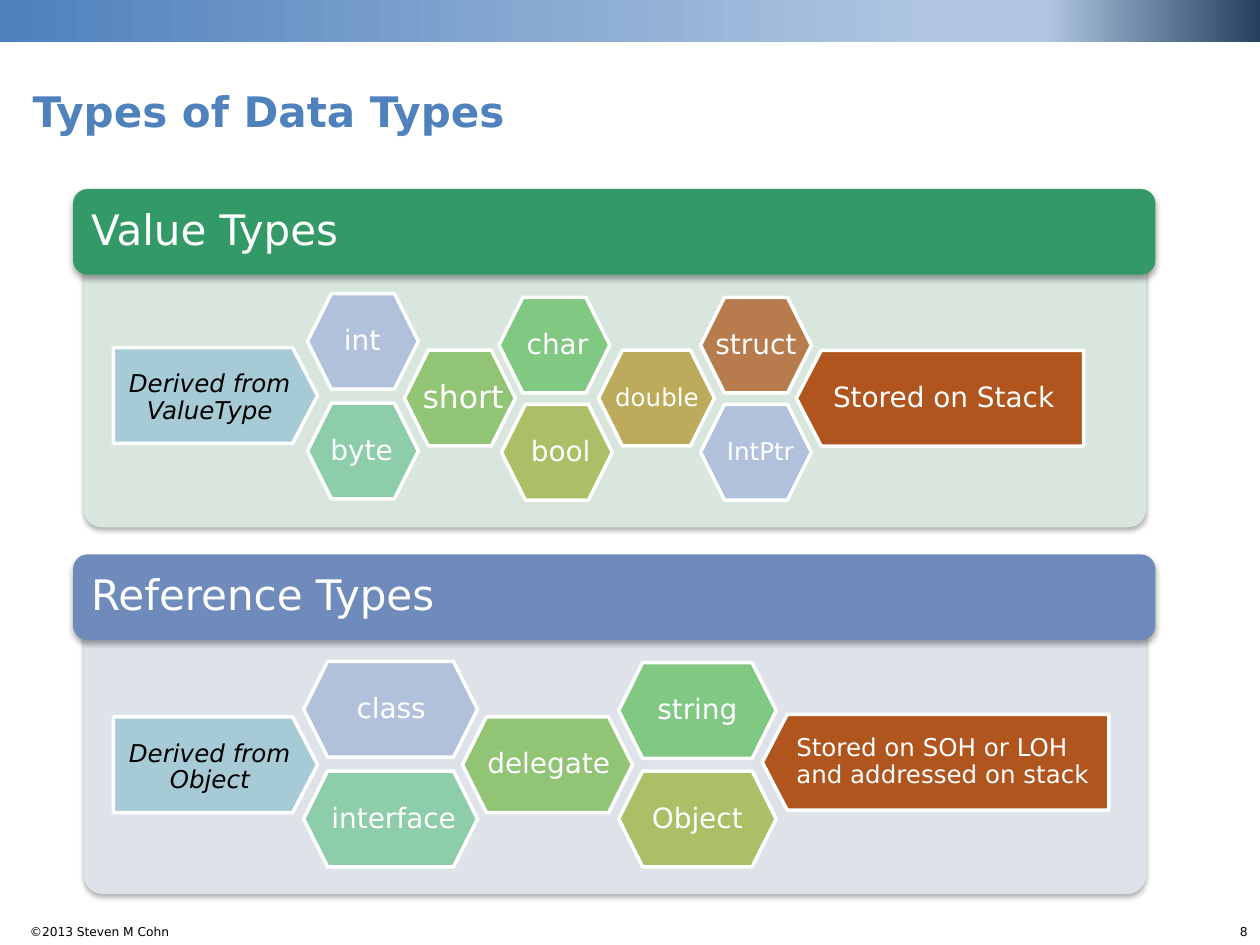
from dataclasses import dataclass

from lxml import etree
from pptx import Presentation
from pptx.dml.color import RGBColor
from pptx.enum.shapes import MSO_SHAPE
from pptx.enum.text import MSO_ANCHOR, MSO_AUTO_SIZE, PP_ALIGN
from pptx.oxml import parse_xml
from pptx.oxml.ns import nsdecls, qn
from pptx.util import Inches, Pt

RECT = MSO_SHAPE.RECTANGLE
ROUND = MSO_SHAPE.ROUNDED_RECTANGLE
PANEL = MSO_SHAPE.ROUND_2_SAME_RECTANGLE
HEX = MSO_SHAPE.HEXAGON
ARROW = MSO_SHAPE.PENTAGON
LEFT, MID, RIGHT = PP_ALIGN.LEFT, PP_ALIGN.CENTER, PP_ALIGN.RIGHT
MIDDLE, BOTTOM = MSO_ANCHOR.MIDDLE, MSO_ANCHOR.BOTTOM
NO_FIT = MSO_AUTO_SIZE.NONE

FONT = "DejaVu Sans"
WHITE, BLACK, BLUE = "FFFFFF", "000000", "4F81BD"
SKY, MIST, MINT, LEAF = "A6CBD6", "B2C1DB", "8DCDA9", "91C474"
GREEN, OLIVE, SAND, CLAY, RUST = "81C883", "ABBF67", "BBAB5A", "B77B4D", "B0551E"
TILE_H = 0.76
LABEL_H = 0.6


@dataclass
class Tile:
    """A hexagon or arrow with the place of its label."""
    text: str
    x: float
    y: float
    w: float
    fill: str
    label_x: float
    label_w: float
    size: int = 16
    kind: int = HEX
    turn: int = 0
    color: str = WHITE
    italic: bool = False
    align: int = MID
    drop: float = 0.08


@dataclass
class Group:
    """A headed panel with its tiles."""
    title: str
    y: float
    fill: str
    panel_y: float
    panel_h: float
    panel_fill: str
    edge: str
    tiles: list


def base(text: str, y: float) -> Tile:
    """Describe the arrow that names the base type."""
    return Tile(text, 0.9, y, 1.62, SKY, 1.0, 1.33, 14, ARROW,
                color=BLACK, italic=True, drop=0.1)


GROUPS = [
    Group("Value Types", 1.5, "339966", 1.92, 2.26, "DDEDE4", "D8E8DF", [
        base("Derived from ValueType", 2.76),
        Tile("int", 2.44, 2.33, 0.88, MIST, 2.61, 0.53),
        Tile("byte", 2.44, 3.2, 0.88, MINT, 2.58, 0.58),
        Tile("short", 3.21, 2.78, 0.88, LEAF, 3.33, 0.69, 18),
        Tile("char", 3.96, 2.36, 0.88, GREEN, 4.02, 0.81),
        Tile("bool", 3.98, 3.21, 0.88, OLIVE, 4.09, 0.72),
        Tile("double", 4.75, 2.78, 0.92, SAND, 4.83, 0.77, 14),
        Tile("struct", 5.56, 2.36, 0.88, CLAY, 5.56, 0.88),
        Tile("Stored on Stack", 6.32, 2.78, 2.28, RUST, 6.5, 1.98,
             kind=ARROW, turn=180),
        Tile("IntPtr", 5.56, 3.21, 0.88, MIST, 5.68, 0.71, 14),
    ]),
    Group("Reference Types", 4.4, "6E8BBB", 4.67, 2.42, "E4E9F1", "DFE4EC", [
        base("Derived from Object", 5.69),
        Tile("class", 2.41, 5.25, 1.38, MIST, 2.61, 0.99),
        Tile("interface", 2.41, 6.12, 1.38, MINT, 2.57, 1.11),
        Tile("delegate", 3.67, 5.69, 1.35, LEAF, 3.81, 1.09),
        Tile("string", 4.91, 5.26, 1.25, GREEN, 5.02, 1.03),
        Tile("Object", 4.91, 6.12, 1.25, OLIVE, 5.02, 1.03),
        Tile("Stored on SOH or LOH\vand addressed on stack", 6.05, 5.67, 2.75,
             RUST, 6.32, 2.47, 14, ARROW, 180, align=LEFT),
    ]),
]


def paint(target, color: str) -> None:
    """Give a fill or line format a solid colour."""
    target.solid()
    target.fore_color.rgb = RGBColor.from_string(color)


def fade(target) -> None:
    """Make a solid fill slightly transparent."""
    for tag in target.iter(qn("a:srgbClr")):
        etree.SubElement(tag, qn("a:alpha")).set("val", "90000")


def shade(shape) -> None:
    """Drop a soft shadow below a shape."""
    shape.shadow.inherit = False
    shape._element.spPr.find(qn("a:effectLst")).append(parse_xml(
        f'<a:outerShdw {nsdecls("a")} blurRad="39370" dist="22860" dir="5400000" '
        'rotWithShape="0"><a:srgbClr val="000000"><a:alpha val="35000"/>'
        '</a:srgbClr></a:outerShdw>'))


def write(shape, text: str, size: int, color: str, align=LEFT, anchor=MIDDLE,
          inset: float = 0, bold=False, italic=False, space: float = 0.9) -> None:
    """Set and format the text of a shape."""
    frame = shape.text_frame
    frame.text = text
    frame.word_wrap = True
    frame.auto_size = NO_FIT
    frame.vertical_anchor = anchor
    frame.margin_left = frame.margin_right = Inches(inset)
    frame.margin_top = frame.margin_bottom = Inches(inset / 2)
    for para in frame.paragraphs:
        para.alignment = align
        para.line_spacing = space
        for run in para.runs:
            font = run.font
            font.name, font.size = FONT, Pt(size)
            font.bold, font.italic = bold, italic
            font.color.rgb = RGBColor.from_string(color)


def box(slide, x: float, y: float, w: float, h: float):
    """Add an empty text box."""
    return slide.shapes.add_textbox(Inches(x), Inches(y), Inches(w), Inches(h))


def form(slide, kind, x: float, y: float, w: float, h: float, fill: str):
    """Add a filled shape without line or shadow."""
    shape = slide.shapes.add_shape(kind, Inches(x), Inches(y), Inches(w), Inches(h))
    shape.shadow.inherit = False
    paint(shape.fill, fill)
    shape.line.fill.background()
    return shape


def draw_bar(slide) -> None:
    """Draw the gradient bar along the top edge."""
    bar = form(slide, RECT, 0, -0.01, 10, 0.34, BLUE)
    stops = [(0, BLUE), (74, "B0C6E1"), (83, "B0C6E1"), (100, "254061")]
    marks = "".join(f'<a:gs pos="{pos * 1000}"><a:srgbClr val="{color}"/></a:gs>'
                    for pos, color in stops)
    props = bar._element.spPr
    props.replace(props.find(qn("a:solidFill")), parse_xml(
        f'<a:gradFill {nsdecls("a")}><a:gsLst>{marks}</a:gsLst>'
        '<a:lin ang="0" scaled="0"/></a:gradFill>'))


def draw_tile(slide, tile: Tile) -> None:
    """Draw one tile and its label."""
    shape = form(slide, tile.kind, tile.x, tile.y, tile.w, TILE_H, tile.fill)
    shape.adjustments[0] = 0.26 if tile.kind == ARROW else 0.25
    shape.rotation = tile.turn
    paint(shape.line.fill, WHITE)
    shape.line.width = Pt(2)
    label = box(slide, tile.label_x, tile.y + tile.drop, tile.label_w, LABEL_H)
    write(label, tile.text, tile.size, tile.color, tile.align, italic=tile.italic)


def draw_group(slide, group: Group) -> None:
    """Draw a panel, its heading and its tiles."""
    panel = form(slide, PANEL, 0.67, group.panel_y, 8.42, group.panel_h,
                 group.panel_fill)
    panel.rotation = 180
    panel.adjustments[0] = 0.06
    paint(panel.line.fill, group.edge)
    panel.line.width = Pt(0.75)
    fade(panel._element.spPr)
    shade(panel)
    head = form(slide, ROUND, 0.58, group.y, 8.59, 0.68, group.fill)
    head.adjustments[0] = 0.17
    shade(head)
    write(head, group.title, 24, WHITE, inset=0.11)
    for tile in group.tiles:
        draw_tile(slide, tile)


def main() -> None:
    """Build and save the slide."""
    deck = Presentation()
    deck.slide_width, deck.slide_height = Inches(10), Inches(7.5)
    slide = deck.slides.add_slide(deck.slide_layouts[5])
    title = slide.shapes.title
    title.left, title.top = Inches(0.16), Inches(0.25)
    title.width, title.height = Inches(7.1), Inches(0.88)
    write(title, "Types of Data Types", 24, BLUE, anchor=BOTTOM, inset=0.1,
          bold=True, space=1.0)
    draw_bar(slide)
    for group in GROUPS:
        draw_group(slide, group)
    for text, x, w in [("©2013 Steven M Cohn", 0.11, 1.33), ("8", 9.6, 0.4)]:
        foot = box(slide, x, 7.28, w, 0.22)
        write(foot, text, 7, BLACK, RIGHT, inset=0.1, space=1.0)
        foot.text_frame.word_wrap = False
    deck.save("out.pptx")


main()
